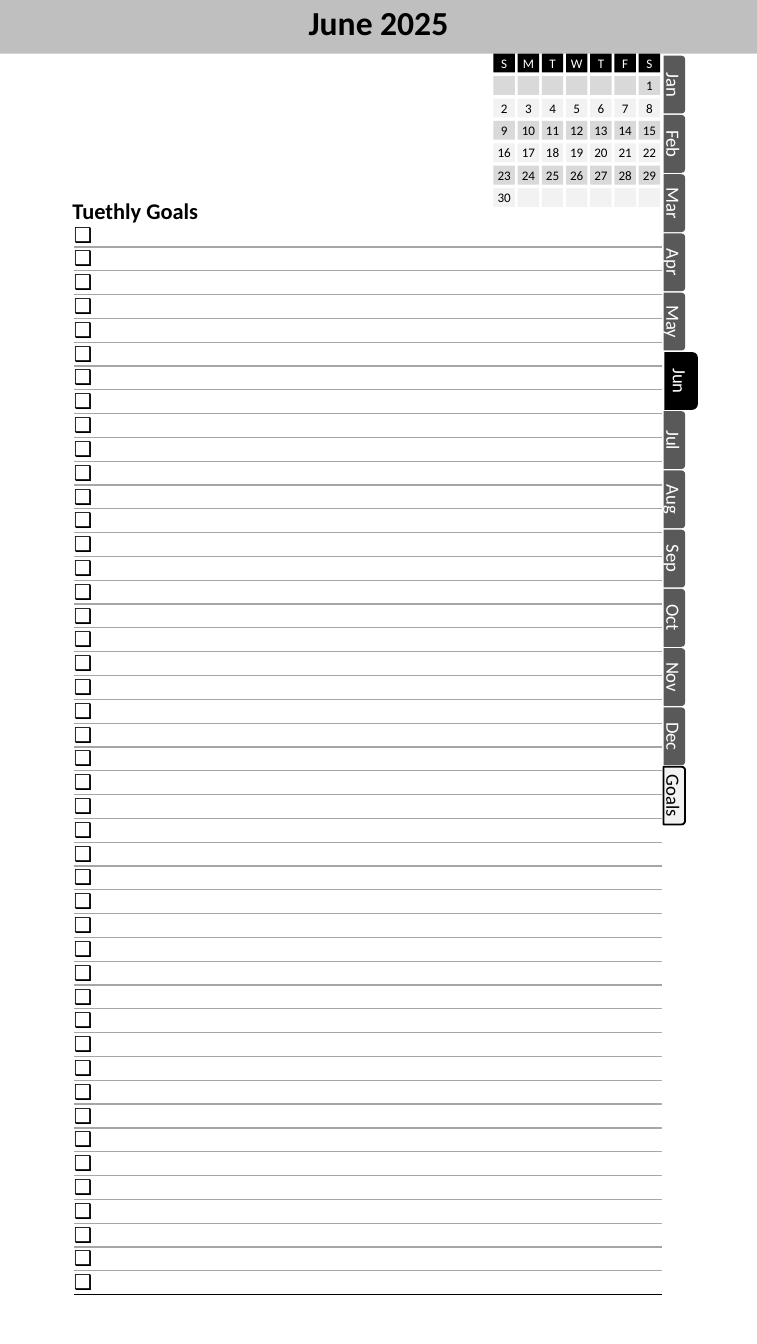
from dataclasses import dataclass

from pptx import Presentation
from pptx.dml.color import RGBColor
from pptx.enum.shapes import MSO_SHAPE
from pptx.enum.text import MSO_ANCHOR, MSO_AUTO_SIZE, PP_ALIGN
from pptx.oxml import parse_xml
from pptx.oxml.ns import nsdecls
from pptx.util import Inches, Pt

FONT = "Calibri"
BLACK, WHITE = "000000", "FFFFFF"
DARK, RULE, BAND = "595959", "A6A6A6", "BFBFBF"
SHADED, PALE = "D9D9D9", "F2F2F2"

MONTHS = ["Jan", "Feb", "Mar", "Apr", "May", "Jun",
          "Jul", "Aug", "Sep", "Oct", "Nov", "Dec"]
CURRENT_MONTH = "Jun"
FIRST_WEEKDAY, DAY_COUNT = 6, 30
GOAL_COUNT = 45


@dataclass
class Box:
    """A filled shape with an optional centred label; lengths in inches."""
    left: float
    top: float
    width: float
    height: float
    fill: str
    label: str = ""
    size: float = 7
    color: str = BLACK
    line: str = ""
    preset: MSO_SHAPE = MSO_SHAPE.RECTANGLE
    rotation: float = 0


def rgb(value: str) -> RGBColor:
    """Turn a hex string into a colour."""
    return RGBColor.from_string(value)


def add_run(paragraph, text: str, size: float, color: str, bold: bool = False) -> None:
    """Add one formatted run to a paragraph."""
    run = paragraph.add_run()
    run.text = text
    run.font.name = FONT
    run.font.size = Pt(size)
    run.font.bold = bold
    run.font.color.rgb = rgb(color)


def add_box(shapes, box: Box) -> None:
    """Draw one box and its label."""
    shape = shapes.add_shape(box.preset, Inches(box.left), Inches(box.top),
                             Inches(box.width), Inches(box.height))
    shape.shadow.inherit = False
    shape.rotation = box.rotation
    shape.fill.solid()
    shape.fill.fore_color.rgb = rgb(box.fill)
    if box.line:
        shape.line.color.rgb = rgb(box.line)
        shape.line.width = Pt(1)
    else:
        shape.line.fill.background()
    if box.label:
        frame = shape.text_frame
        frame.margin_left = frame.margin_right = 0
        frame.margin_top = frame.margin_bottom = 0
        frame.vertical_anchor = MSO_ANCHOR.MIDDLE
        paragraph = frame.paragraphs[0]
        paragraph.alignment = PP_ALIGN.CENTER
        add_run(paragraph, box.label, box.size, box.color)


def add_headings(shapes) -> None:
    """Add the goals heading and the month title."""
    heading = shapes.add_textbox(Inches(0.44), Inches(1.42), Inches(1.15), Inches(0.3))
    heading.text_frame.word_wrap = False
    heading.text_frame.auto_size = MSO_AUTO_SIZE.SHAPE_TO_FIT_TEXT
    add_run(heading.text_frame.paragraphs[0], "Tuethly Goals", 12, BLACK, bold=True)

    title = shapes.add_textbox(Inches(1.27), 0, Inches(3.09), Inches(0.4))
    title.text_frame.word_wrap = True
    paragraph = title.text_frame.paragraphs[0]
    paragraph.alignment = PP_ALIGN.CENTER
    paragraph.line_spacing = 0.9
    add_run(paragraph, "June 2025", 18, BLACK, bold=True)


def set_borders(cell, top: str, bottom: str) -> None:
    """Give a cell horizontal rules only; an empty colour means no rule."""
    edges = [("lnL", ""), ("lnR", ""), ("lnT", top), ("lnB", bottom)]
    properties = cell._tc.get_or_add_tcPr()
    for index, (tag, color) in enumerate(edges):
        fill = (f'<a:solidFill><a:srgbClr val="{color}"/></a:solidFill>'
                if color else "<a:noFill/>")
        properties.insert(index, parse_xml(
            f'<a:{tag} {nsdecls("a")} w="{int(Pt(0.75))}">{fill}</a:{tag}>'))


def add_checkbox(paragraph) -> None:
    """Start a paragraph with a checkbox bullet."""
    properties = paragraph._p.get_or_add_pPr()
    properties.set("marL", str(Inches(0.17)))
    properties.set("indent", str(-Inches(0.17)))
    for item in ('buSzPct {} val="110000"', f'buFont {{}} typeface="{FONT}"',
                 'buChar {} char="❑"'):
        properties.append(parse_xml(f'<a:{item.format(nsdecls("a"))}/>'))
    add_run(paragraph, " ", 10, BLACK)


def add_goals(shapes) -> None:
    """Add the ruled checklist."""
    height = Inches(7.98)
    table = shapes.add_table(GOAL_COUNT, 1, Inches(0.55), Inches(1.66),
                             Inches(4.37), height).table
    table.first_row = False
    table.horz_banding = False
    for index, row in enumerate(table.rows):
        row.height = height // GOAL_COUNT
        cell = row.cells[0]
        cell.margin_left = cell.margin_right = 0
        cell.margin_top = cell.margin_bottom = 0
        cell.vertical_anchor = MSO_ANCHOR.MIDDLE
        cell.fill.background()
        last = index == GOAL_COUNT - 1
        set_borders(cell, RULE if index else "", BLACK if last else RULE)
        add_checkbox(cell.text_frame.paragraphs[0])


def add_tabs(shapes) -> None:
    """Add the month tabs and the goals tab down the right edge."""
    pitch = (5.84 - 0.55) / len(MONTHS)
    for index, label in enumerate(MONTHS + ["Goals"]):
        tab = Box(4.8, 0.55 + pitch * index, 0.43, 0.16, DARK, label, 10, WHITE,
                  preset=MSO_SHAPE.ROUND_2_SAME_RECTANGLE, rotation=90)
        if label == CURRENT_MONTH:
            tab.left, tab.top, tab.height, tab.fill = 4.85, 2.71, 0.25, BLACK
        elif label == "Goals":
            tab.fill, tab.color, tab.line = PALE, BLACK, BLACK
        add_box(shapes, tab)


def add_calendar(shapes) -> None:
    """Add the small month calendar as one group."""
    group = shapes.add_group_shape()
    for row in range(7):
        for column in range(7):
            day = (row - 1) * 7 + column - FIRST_WEEKDAY + 1
            cell = Box(3.67 + 0.18 * column, 0.4 + row / 6, 0.16, 0.14,
                       SHADED if row % 2 else PALE)
            if row == 0:
                cell.fill, cell.color, cell.label = BLACK, WHITE, "SMTWTFS"[column]
            elif 1 <= day <= DAY_COUNT:
                cell.label = str(day)
            add_box(group.shapes, cell)


def main() -> None:
    """Build and save the planner page."""
    presentation = Presentation()
    presentation.slide_width = Inches(5.63)
    presentation.slide_height = Inches(10)
    slide = presentation.slides.add_slide(presentation.slide_layouts[6])
    add_box(slide.shapes, Box(0, 0, 5.63, 0.4, BAND))
    add_goals(slide.shapes)
    add_headings(slide.shapes)
    add_tabs(slide.shapes)
    add_calendar(slide.shapes)
    presentation.save("out.pptx")


main()
